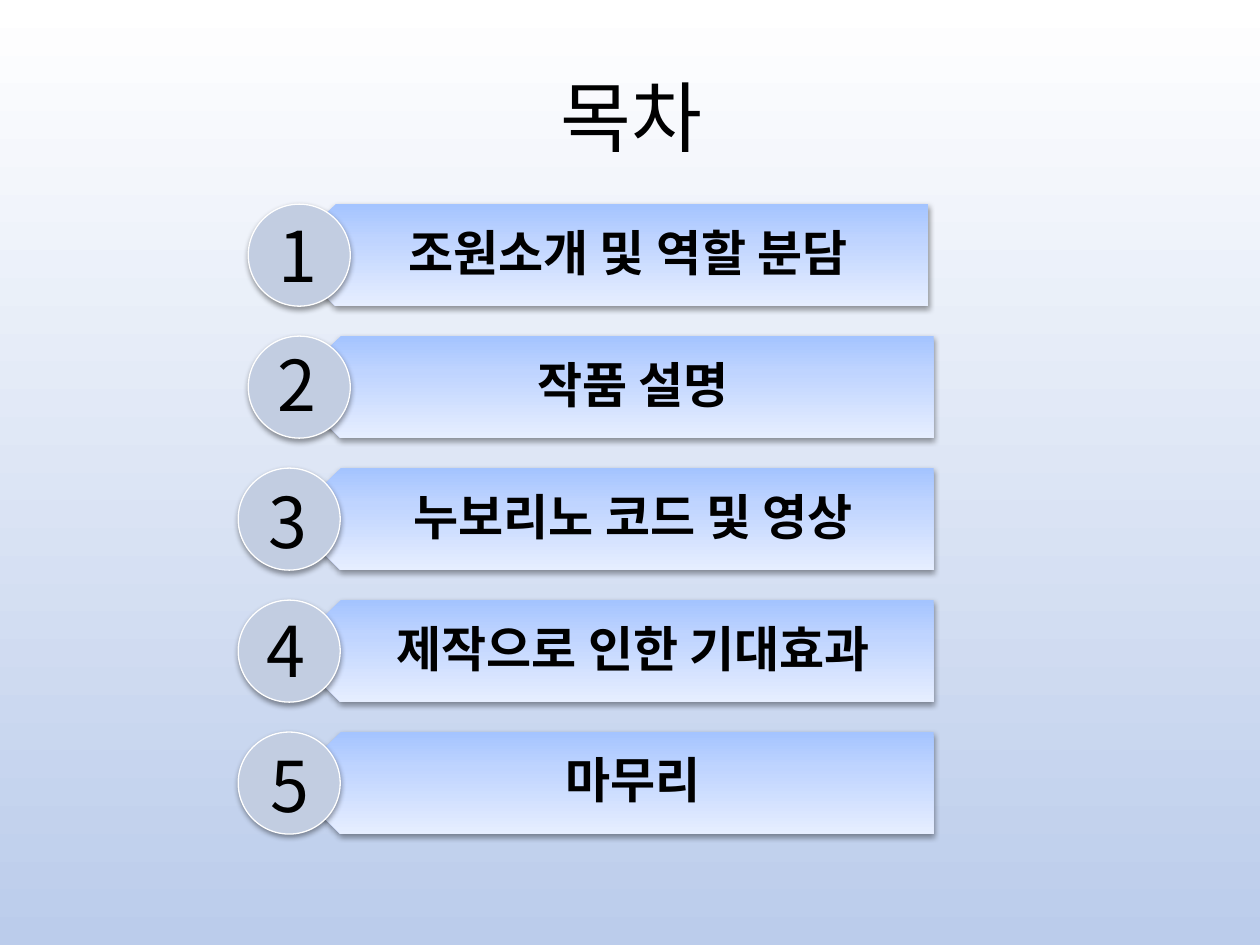
from copy import deepcopy

from lxml import etree
from pptx import Presentation
from pptx.dml.color import RGBColor
from pptx.enum.shapes import MSO_SHAPE
from pptx.enum.text import MSO_ANCHOR, MSO_AUTO_SIZE, PP_ALIGN
from pptx.oxml.ns import qn
from pptx.util import Inches, Pt

PENTAGON, OVAL = MSO_SHAPE.PENTAGON, MSO_SHAPE.OVAL
TOP, MIDDLE = MSO_ANCHOR.TOP, MSO_ANCHOR.MIDDLE
LEFT, CENTER = PP_ALIGN.LEFT, PP_ALIGN.CENTER
GROW, FIXED = MSO_AUTO_SIZE.SHAPE_TO_FIT_TEXT, MSO_AUTO_SIZE.NONE
FONT = "Noto Sans CJK KR"


def color(value):
    return RGBColor.from_string(value)


def add_text(text, left, top, width, height, size=28, bold=False, align=CENTER,
             anchor=MIDDLE, margins=(0.1, 0.05, 0.1, 0.05), spacing=1.0, auto_size=FIXED):
    box = slide.shapes.add_textbox(Inches(left), Inches(top), Inches(width), Inches(height))
    frame = box.text_frame
    frame.word_wrap = True
    frame.auto_size = auto_size
    frame.vertical_anchor = anchor
    frame.margin_left, frame.margin_top, frame.margin_right, frame.margin_bottom = map(Inches, margins)
    paragraph = frame.paragraphs[0]
    paragraph.alignment = align
    paragraph.line_spacing = spacing
    run = paragraph.add_run()
    run.text = text
    run.font.size = Pt(size)
    run.font.bold = bold
    run.font.name = FONT
    run.font.color.rgb = color("000000")
    properties = run.font._element
    etree.SubElement(properties, qn("a:ea")).set("typeface", FONT)


presentation = Presentation()
presentation.slide_width = Inches(10)
presentation.slide_height = Inches(7.5)
slide = presentation.slides.add_slide(presentation.slide_layouts[6])

# Background fading downwards
background = slide.background.fill
background.gradient()
background.gradient_angle = 270
for stop, (position, value) in zip(background.gradient_stops, [(0, "FFFFFF"), (1, "BBCCEB")]):
    stop.position = position
    stop.color.rgb = color(value)

# Title
add_text("목차", 0.51, 0.29, 9, 1.25, size=44)

# Agenda rows: text, bar left, circle left, number left, top and width
ROW_TOP, ROW_STEP, ROW_HEIGHT = 1.62, 1.0475, 0.81
BAR_STOPS = [(0, "A4C4FF"), (0.35, "BFD4FF"), (1, "E6EEFF")]
rows = [
    ("조원소개 및 역할 분담", 2.26, 1.97, 2.11, 1.64, 0.7),
    ("작품 설명", 2.3, 1.97, 2.1, 2.66, 0.48),
    ("누보리노 코드 및 영상", 2.3, 1.89, 2.03, 3.75, 0.48),
    ("제작으로 인한 기대효과", 2.3, 1.89, 2.02, 4.77, 0.48),
    ("마무리", 2.3, 1.89, 2.05, 5.84, 0.54),
]
for index, (label, bar_left, circle_left, number_left, number_top, number_width) in enumerate(rows):
    top = ROW_TOP + index * ROW_STEP

    # Bar pointing left
    bar = slide.shapes.add_shape(PENTAGON, Inches(bar_left), Inches(top), Inches(5.11), Inches(ROW_HEIGHT))
    bar.rotation = 180
    bar.line.fill.background()
    bar.fill.gradient()
    bar.fill.gradient_angle = 90
    stop_list = bar.element.spPr.find(".//" + qn("a:gsLst"))
    stop_list.append(deepcopy(stop_list[0]))
    for stop, (position, value) in zip(bar.fill.gradient_stops, BAR_STOPS):
        stop.position = position
        stop.color.rgb = color(value)
    add_text(label, bar_left + 0.2, top, 4.91, ROW_HEIGHT, bold=True,
             margins=(0.36, 0.12, 0.22, 0.12), spacing=0.9)

    # Number circle
    circle = slide.shapes.add_shape(OVAL, Inches(circle_left), Inches(top), Inches(ROW_HEIGHT), Inches(ROW_HEIGHT))
    circle.fill.solid()
    circle.fill.fore_color.rgb = color("C2CDE1")
    circle.line.color.rgb = color("FFFFFF")
    circle.line.width = Pt(0.75)
    add_text(str(index + 1), number_left, number_top, number_width, 0.77, size=40,
             align=LEFT, anchor=TOP, auto_size=GROW)

    # Soft shadow below both shapes
    for shape in (bar, circle):
        shape.shadow.inherit = False
        effects = shape.element.spPr.find(qn("a:effectLst"))
        shadow = etree.SubElement(effects, qn("a:outerShdw"), blurRad="40000", dist="20000",
                                  dir="5400000", rotWithShape="0")
        shade = etree.SubElement(shadow, qn("a:srgbClr"), val="000000")
        etree.SubElement(shade, qn("a:alpha"), val="38000")

presentation.save("out.pptx")
